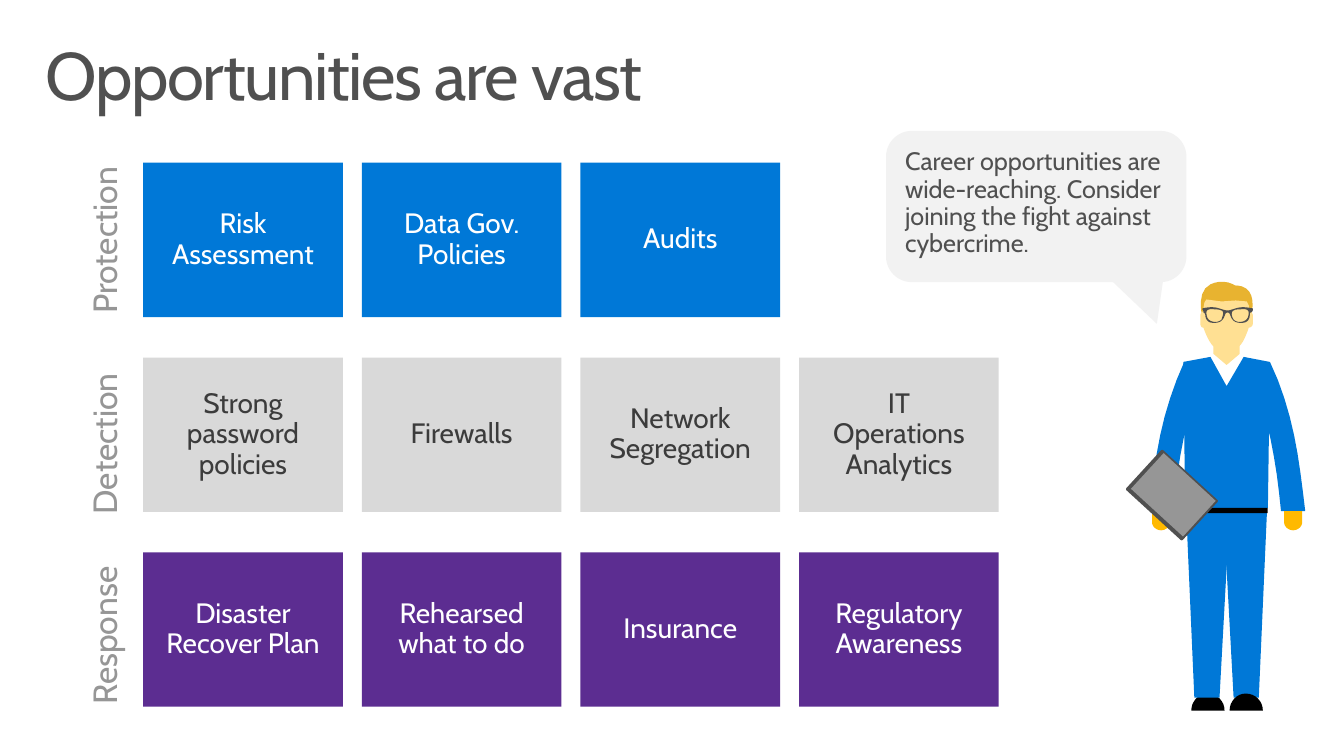
"""Build a slide of security career areas with a speaking figure."""
from pptx import Presentation
from pptx.dml.color import RGBColor
from pptx.enum.shapes import MSO_SHAPE
from pptx.enum.text import MSO_ANCHOR, MSO_AUTO_SIZE, PP_ALIGN
from pptx.util import Cm, Pt

RECT, ROUND = MSO_SHAPE.RECTANGLE, MSO_SHAPE.ROUNDED_RECTANGLE
WEDGE = MSO_SHAPE.ISOSCELES_TRIANGLE
LEFT, MID = PP_ALIGN.LEFT, PP_ALIGN.CENTER
TOP, CENTER = MSO_ANCHOR.TOP, MSO_ANCHOR.MIDDLE
FIXED = MSO_AUTO_SIZE.NONE

TITLE = "Opportunities are vast"
SPEECH = ("Career opportunities are wide-reaching. Consider joining "
          "the fight against cybercrime.")
ROWS = [
    ("Protection", 5.18, "0078D7", "FFFFFF",
     ["Risk Assessment", "Data Gov. Policies", "Audits"]),
    ("Detection", 10.31, "D9D9D9", "3C3C3C",
     ["Strong password policies", "Firewalls", "Network Segregation",
      "IT Operations Analytics"]),
    ("Response", 15.14, "5C2D91", "FFFFFF",
     ["Disaster Recover Plan", "Rehearsed what to do", "Insurance",
      "Regulatory Awareness"]),
]
GRID = {"x": 3.61, "y": 4.1, "dx": 5.51, "dy": 4.91, "w": 5.03, "h": 3.89}

BLUE, SKIN, HAIR, GOLD = "0078D7", "FFE093", "E8B330", "FFB900"
DARK, GREY, PALE = "505050", "969696", "F2F2F2"
HAND = [[(43, 237), (43, 248), (43, 252, 47, 256, 52, 256),
         (57, 256, 61, 252, 61, 248), (61, 237)]]
SHOE = [[(98, 418), (89, 418, 82, 426, 82, 435), (115, 435),
         (115, 426, 108, 418, 98, 418)]]
SHIRT = [[(101, 84), (104, 81), (130, 81), (134, 84), (125, 114),
          (113, 117), (103, 103)]]
LEG_L = [[(110, 422), (85, 422), (77, 239), (120, 239)]]
LEG_R = [[(149, 422), (124, 422), (114, 239), (157, 239)]]
HAIR_R = [[(139, 50), (130, 75, 124, 75, 112, 71), (99, 67, 93, 51, 99, 36),
           (103, 21, 120, 10, 132, 14), (145, 18, 145, 35, 139, 50)]]
HAIR_L = [[(134, 22), (142, 35, 136, 62, 126, 68), (116, 73, 108, 79, 101, 66),
           (93, 53, 84, 20, 101, 12), (111, 7, 127, 9, 134, 22)]]
NECK = [[(130, 81), (117, 92), (104, 81), (104, 60), (130, 60)]]
ARM_L = [[(97, 95), (90, 93, 82, 91, 75, 89), (53, 137, 45, 185, 41, 237),
          (64, 237), (69, 187, 76, 141, 97, 95)]]
ARM_R = [[(137, 95), (145, 93, 153, 91, 160, 89), (183, 137, 189, 185, 195, 237),
          (171, 237), (166, 187, 159, 141, 137, 95)]]
TORSO = [[(134, 84), (117, 113), (101, 84), (74, 89), (76, 234), (158, 234),
          (160, 89)]]
FACE = [[(141, 39), (139, 39), (139, 33), (137, 29), (126, 28), (112, 29),
         (97, 27), (95, 30), (94, 36), (94, 39), (92, 39, 91, 41, 91, 43),
         (91, 51), (91, 53, 92, 55, 94, 55), (94, 55, 101, 75, 107, 75),
         (126, 75), (133, 75, 139, 55, 139, 55), (141, 55, 143, 53, 143, 51),
         (143, 43), (143, 41, 142, 40, 141, 39)]]
SPECS = [
    [(143, 36), (143, 36, 135, 34, 130, 35), (124, 36, 121, 38, 118, 38),
     (115, 38, 111, 36, 106, 35), (100, 34, 93, 36, 93, 36), (93, 37),
     (94, 38, 94, 39, 94, 40), (96, 40, 96, 44, 96, 44),
     (97, 50, 102, 51, 108, 50), (114, 49, 115, 43, 116, 41),
     (117, 40, 118, 40, 118, 40), (118, 40, 119, 40, 120, 41),
     (121, 43, 122, 49, 128, 50), (134, 51, 139, 50, 140, 44),
     (140, 44, 140, 40, 141, 40), (143, 39, 143, 38, 143, 37)],
    [(112, 47), (110, 49, 107, 50, 103, 49), (99, 48, 97, 45, 97, 40),
     (97, 35, 106, 37, 106, 37), (109, 37, 109, 37, 112, 38),
     (115, 39, 113, 44, 112, 47)],
    [(133, 49), (129, 50, 126, 49, 124, 47), (122, 44, 121, 39, 124, 38),
     (126, 37, 126, 37, 130, 37), (130, 37, 139, 35, 139, 40),
     (139, 45, 137, 48, 133, 49)],
]
FIGURE = [
    (GOLD, 0, HAND), ("FFFFFF", 0, SHIRT), ("000000", 0, SHOE),
    (BLUE, 0, LEG_L), (BLUE, 0, LEG_R), ("000000", 38, SHOE),
    (HAIR, 0, HAIR_R), (HAIR, 0, HAIR_L), (SKIN, 0, NECK),
    (BLUE, 0, ARM_L), (BLUE, 0, ARM_R), (GOLD, 131, HAND),
    (BLUE, 0, TORSO), (SKIN, 0, FACE), (DARK, 0, SPECS),
]
ORIGIN = (27.94, 6.86)
FINE = 10
STEPS = 8
PROPS = [
    (RECT, (29.87, 12.8, 2.08, 0.13), "000000", 0, None),
    (ROUND, (28.85, 11.51, 1.37, 1.93), DARK, 312.5, 0.03),
    (RECT, (28.96, 11.58, 1.22, 1.78), GREY, 312.5, None),
    (ROUND, (22.33, 3.3, 7.57, 3.81), PALE, 0, 0.17),
    (WEDGE, (27.79, 6.86, 1.55, 1.3), PALE, 180, 0.12),
]


def color(code):
    return RGBColor.from_string(code)


def assign(item, values):
    for name, value in values.items():
        setattr(item, name, value)


def write(shape, text, size, ink, align=MID, anchor=TOP, pad=(0.51, 0.41), after=0):
    frame = shape.text_frame
    side, edge = map(Cm, pad)
    assign(frame, {"word_wrap": True, "auto_size": FIXED,
                   "vertical_anchor": anchor, "margin_left": side,
                   "margin_right": side, "margin_top": edge,
                   "margin_bottom": edge})
    para = frame.paragraphs[0]
    assign(para, {"alignment": align, "line_spacing": 0.9,
                  "space_before": Pt(0), "space_after": Pt(after)})
    run = para.add_run()
    run.text = text
    assign(run.font, {"name": "Cabin", "size": Pt(size)})
    run.font.color.rgb = color(ink)
    return run


def paint(shape, fill):
    shape.shadow.inherit = False
    shape.fill.solid()
    shape.fill.fore_color.rgb = color(fill)
    shape.line.fill.background()
    return shape


def block(shapes, kind, box, fill):
    return paint(shapes.add_shape(kind, *map(Cm, box)), fill)


def label(shapes, box, text, size, ink, align=MID, turn=0):
    shape = shapes.add_textbox(*map(Cm, box))
    shape.rotation = turn
    write(shape, text, size, ink, align, after=6)


def trace(ring, shift):
    """Turn lines and cubic curves into a list of points."""
    points = [ring[0]]
    for step in ring[1:]:
        if len(step) == 2:
            points.append(step)
            continue
        knots = [points[-1], step[:2], step[2:4], step[4:]]
        for i in range(1, STEPS + 1):
            t = i / STEPS
            parts = ((1 - t) ** 3, 3 * t * (1 - t) ** 2,
                     3 * t * t * (1 - t), t ** 3)
            points.append(tuple(sum(p * k[axis] for p, k in zip(parts, knots))
                                for axis in (0, 1)))
    return [((x + shift) * FINE, y * FINE) for x, y in points]


def sketch(shapes, fill, shift, rings):
    first, *rest = [trace(ring, shift) for ring in rings]
    pen = shapes.build_freeform(*first[0], scale=Cm(2.54) / 100 / FINE)
    pen.add_line_segments(first[1:], close=True)
    for points in rest:
        pen.move_to(*points[0])
        pen.add_line_segments(points[1:], close=True)
    paint(pen.convert_to_shape(*map(Cm, ORIGIN)), fill)


def main():
    deck = Presentation()
    assign(deck, {"slide_width": Cm(33.87), "slide_height": Cm(19.05)})
    slide = deck.slides.add_slide(deck.slide_layouts[5])
    shapes = slide.shapes
    title = shapes.title
    assign(title, {"left": Cm(0.74), "top": Cm(0.81),
                   "width": Cm(32.39), "height": Cm(2.49)})
    run = write(title, TITLE, 48, DARK, LEFT, pad=(0.41, 0.25))
    run._r.get_or_add_rPr().set("spc", "-100")

    for row, (name, top, fill, ink, cells) in enumerate(ROWS):
        label(shapes, (-0.25, top, 5.87, 1.75), name, 24, GREY, turn=270)
        for col, text in enumerate(cells):
            box = (GRID["x"] + col * GRID["dx"], GRID["y"] + row * GRID["dy"],
                   GRID["w"], GRID["h"])
            write(block(shapes, RECT, box, fill), text, 20, ink, anchor=CENTER)

    for part in FIGURE:
        sketch(shapes, *part)
    for kind, box, fill, turn, bend in PROPS:
        shape = block(shapes, kind, box, fill)
        shape.rotation = turn
        if bend is not None:
            shape.adjustments[0] = bend
    label(shapes, (22.3, 3.35, 7.95, 3.58), SPEECH, 18, DARK, LEFT)
    deck.save("out.pptx")


if __name__ == "__main__":
    main()
